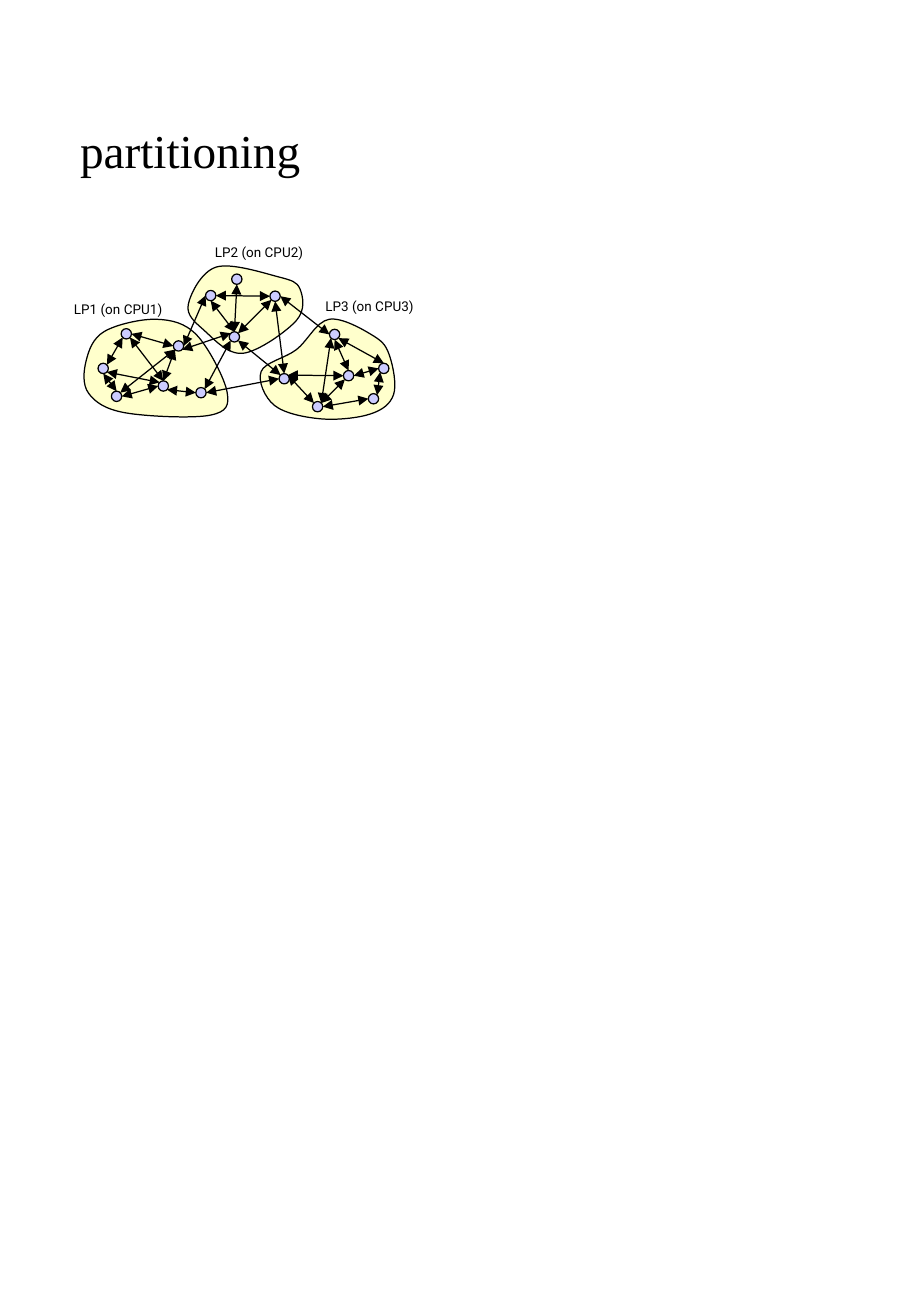
"""Draw a graph of nodes split into three partitions, one for each CPU."""
from pptx import Presentation
from pptx import util as u
from pptx.dml import color
from pptx.enum import shapes, text
from pptx.oxml import ns, xmlchemy as xml

COLS, ROWS = 750, 1084
HUES = {"ink": "000000", "zone": "FFFFCC", "node": "CCCCFF"}
SIZE = 8.5
DIAG = 0.5 ** 0.5
SIDES = {
    "n": (0, -1), "s": (0, 1), "e": (1, 0), "w": (-1, 0),
    "ne": (DIAG, -DIAG), "nw": (-DIAG, -DIAG),
    "se": (DIAG, DIAG), "sw": (-DIAG, DIAG),
}

ZONES = [
    [(86, 273), (71, 297), (73, 324), (103, 340), (173, 342), (187, 323),
     (162, 276), (129, 263)],
    [(155, 251), (168, 272), (200, 291), (244, 264), (247, 238), (229, 228),
     (178, 220)],
    [(308, 277), (271, 263), (244, 288), (215, 306), (226, 334), (264, 345),
     (305, 341), (324, 325), (321, 294)],
]
LABELS = [
    ("LP1 (on CPU1)", 51, 243),
    ("LP2 (on CPU2)", 167, 196),
    ("LP3 (on CPU3)", 258, 240.5),
]
NODES = {
    "a": (104, 275), "b": (147, 285), "c": (134.5, 318),
    "d": (96, 326.5), "e": (85, 303.5), "f": (165.5, 323.5),
    "g": (173.5, 243.5), "h": (226.5, 244), "i": (193, 277.5),
    "k": (275.5, 275.5), "l": (316, 303.5), "m": (261.5, 335),
    "n": (234, 312), "o": (287, 309.5), "p": (307.5, 328.5),
    "j": (195, 230),
}
LINKS = """
a.e-b.w  a.sw-e.ne  a.se-c.n  b.sw-c.n  b.e-g.w  b.se-i.nw
c.se-f.w  d.e-c.w  d.ne-b.sw  e.s-d.n  e.se-c.nw  f.ne-i.sw  f.e-n.w
g.e-h.w  g.s-i.n  h.e-k.w  h.s-n.n  h.sw-i.ne  i.se-n.nw  j.s-i.n
k.s-o.n  k.se-l.n  k.sw-m.ne  m.ne-o.sw  m.e-p.w  m.nw-n.ne
o.e-l.w  o.w-n.ne  p.ne-l.sw
""".split()


def tint(name):
    return color.RGBColor.from_string(HUES[name])


def write(frame, words, font="Roboto", size=8, hue="ink", wrap=False,
          anchor=text.MSO_ANCHOR.TOP, fit=text.MSO_AUTO_SIZE.NONE):
    frame.word_wrap, frame.auto_size = wrap, fit
    frame.vertical_anchor = anchor
    par = frame.paragraphs[0]
    par.alignment = text.PP_ALIGN.LEFT
    run = par.add_run()
    run.text = words
    run.font.name, run.font.size = font, u.Pt(size)
    run.font.color.rgb = tint(hue)


def curve(knots):
    dots = [knots[0]]
    for k in range(len(knots)):
        quad = [knots[(k + j) % len(knots)] for j in (-1, 0, 1, 2)]
        axes = [(q + (r - p) / 6, r - (s - q) / 6, r)
                for p, q, r, s in zip(*quad)]
        dots += zip(*axes)
    return dots


def bend(shape):
    lines = list(shape.element.iter(ns.qn("a:lnTo")))
    for k in range(0, len(lines), 3):
        arc = xml.OxmlElement("a:cubicBezTo")
        lines[k].addprevious(arc)
        for line in lines[k:k + 3]:
            arc.append(line[0])
            line.getparent().remove(line)


def port(end):
    name, side = end.split(".")
    return [mid + SIZE / 2 * way for mid, way in zip(NODES[name], SIDES[side])]


class Sketch:
    def __init__(self):
        self.deck = Presentation()
        self.deck.slide_width = u.Inches(7.5)
        self.deck.slide_height = u.Inches(10.84)
        self.slide = self.deck.slides.add_slide(self.deck.slide_layouts[5])
        self.shapes = self.slide.shapes

    def grid(self, col, row):
        return (round(self.deck.slide_width * col / COLS),
                round(self.deck.slide_height * row / ROWS))

    def paint(self, shape, hue):
        shape.shadow.inherit = False
        shape.fill.solid()
        shape.fill.fore_color.rgb = tint(hue)
        self.edge(shape)

    def edge(self, shape):
        shape.line.color.rgb = tint("ink")
        shape.line.width = u.Pt(0.75)

    def title(self, words, col, row, wide, high):
        head = self.shapes.title
        head.left, head.top = self.grid(col, row)
        head.width, head.height = self.grid(wide, high)
        write(head.text_frame, words, font="Times New Roman", size=28,
              wrap=True, anchor=text.MSO_ANCHOR.MIDDLE)

    def label(self, words, col, row):
        box = self.shapes.add_textbox(*self.grid(col, row), *self.grid(93, 24))
        write(box.text_frame, words, fit=text.MSO_AUTO_SIZE.SHAPE_TO_FIT_TEXT)

    def zone(self, knots):
        dots = [self.grid(*dot) for dot in curve(knots)]
        pen = self.shapes.build_freeform(*dots[0])
        pen.add_line_segments(dots[1:], close=True)
        shape = pen.convert_to_shape()
        bend(shape)
        self.paint(shape, "zone")

    def node(self, col, row):
        spot = self.grid(col - SIZE / 2, row - SIZE / 2)
        self.paint(self.shapes.add_shape(
            shapes.MSO_SHAPE.OVAL, *spot, *self.grid(SIZE, SIZE)), "node")

    def link(self, start, end):
        arrow = self.shapes.add_connector(
            shapes.MSO_CONNECTOR.STRAIGHT, *self.grid(*start), *self.grid(*end))
        self.edge(arrow)
        props = arrow.element.spPr
        line = props.find(ns.qn("a:ln"))
        for tag in ("a:headEnd", "a:tailEnd"):
            tip = xml.OxmlElement(tag)
            tip.set("type", "triangle")
            line.append(tip)
        props.append(xml.OxmlElement("a:effectLst"))


def main():
    art = Sketch()
    art.title("partitioning", 56, 96, 637, 54)
    for knots in ZONES:
        art.zone(knots)
    for label in LABELS:
        art.label(*label)
    for spot in NODES.values():
        art.node(*spot)
    for pair in LINKS:
        art.link(*map(port, pair.split("-")))
    art.deck.save("out.pptx")


if __name__ == "__main__":
    main()
